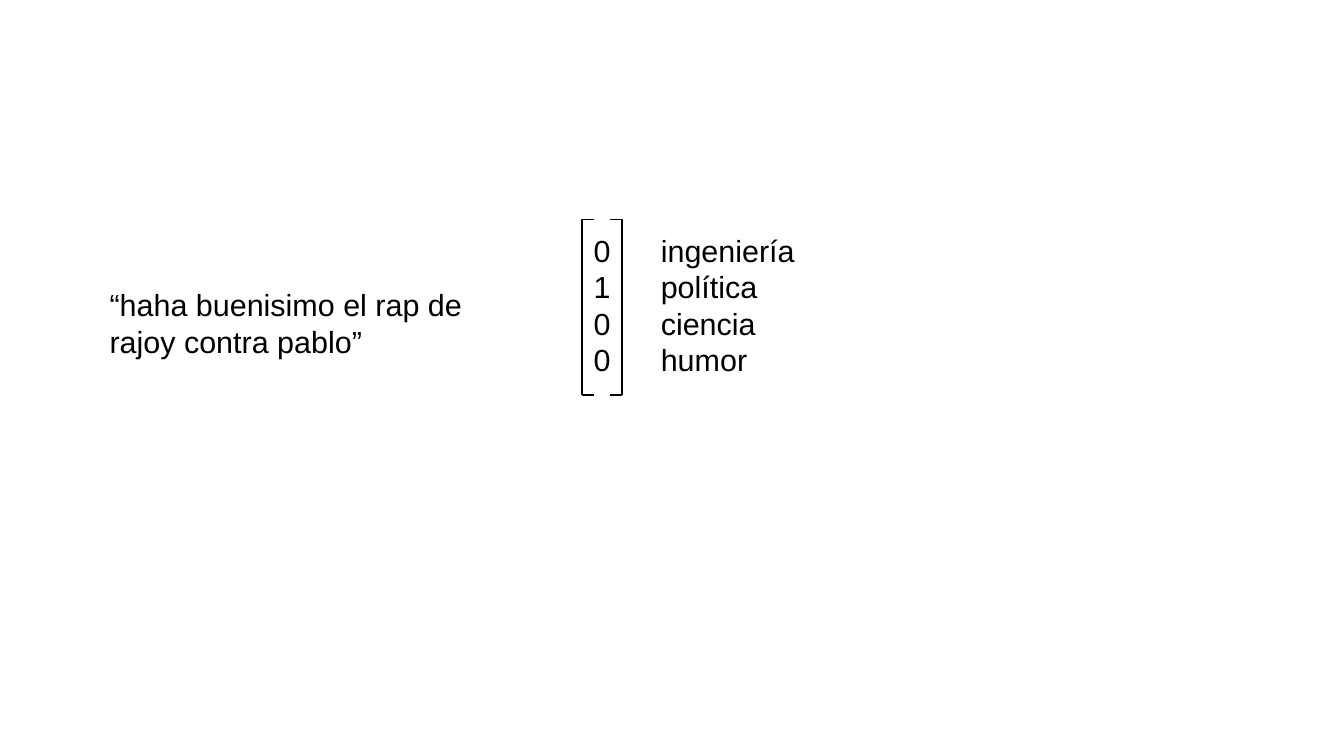
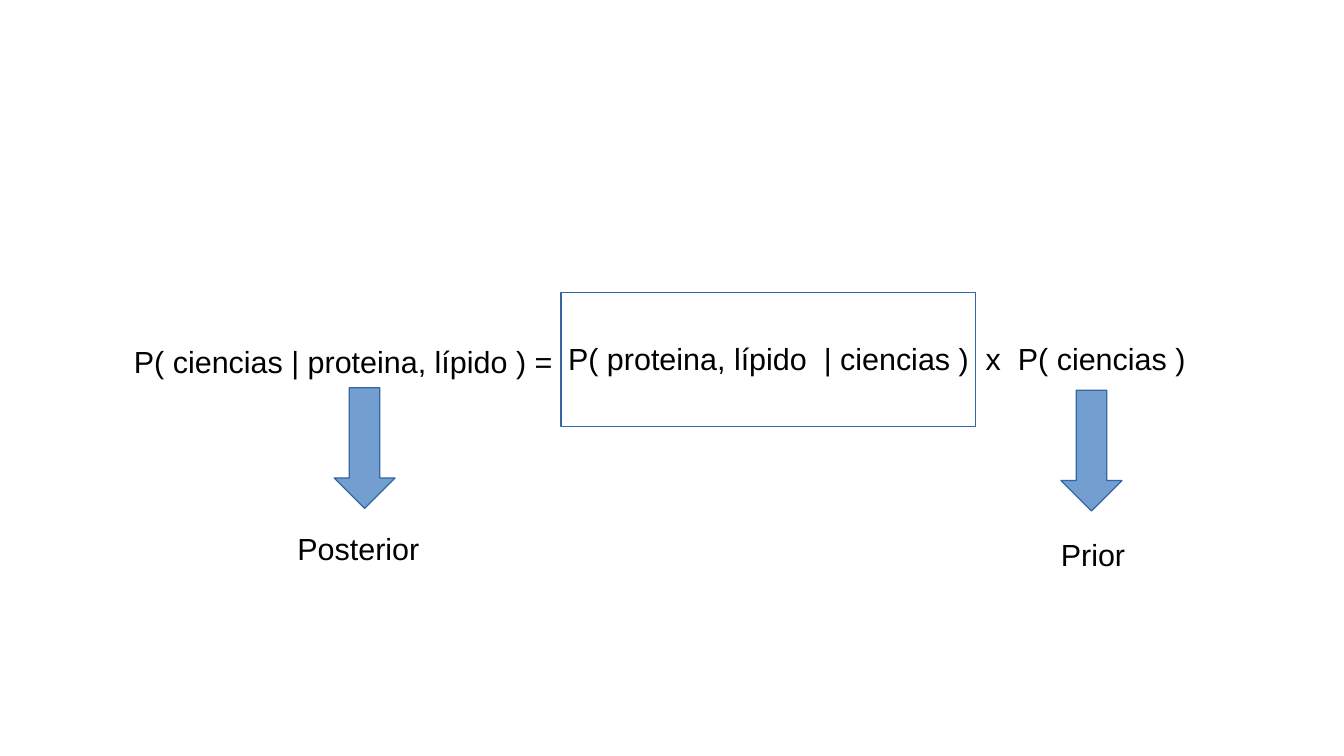
from lxml import etree
from pptx import Presentation
from pptx import util as u
from pptx.dml.color import RGBColor
from pptx.enum import shapes, text
from pptx.oxml.ns import qn

BLACK = RGBColor(0x00, 0x00, 0x00)
ARROW_FILL = RGBColor(0x72, 0x9F, 0xCF)
OUTLINE = RGBColor(0x34, 0x65, 0xA4)
FONT_FORMAT = {"name": "Arial", "size": u.Pt(18)}
FRAME_FORMAT = {
    "word_wrap": True,
    "auto_size": text.MSO_AUTO_SIZE.NONE,
    "vertical_anchor": text.MSO_ANCHOR.TOP,
    "margin_left": u.Inches(0.1),
    "margin_right": u.Inches(0.1),
    "margin_top": u.Inches(0.05),
    "margin_bottom": u.Inches(0.05),
}

deck = Presentation()
deck.slide_width = u.Inches(11.02)
deck.slide_height = u.Inches(6.2)
blank = deck.slide_layouts[6]


def add_text(page, left, top, width, height, lines):
    box = page.shapes.add_textbox(*map(u.Inches, (left, top, width, height)))
    frame = box.text_frame
    for name, value in FRAME_FORMAT.items():
        setattr(frame, name, value)
    for index, line in enumerate(lines):
        para = frame.paragraphs[0] if index == 0 else frame.add_paragraph()
        span = para.add_run()
        span.text = line
        for name, value in FONT_FORMAT.items():
            setattr(span.font, name, value)
        span.font.color.rgb = BLACK


def add_outlined(page, kind, left, top, width, height):
    """Add an unfilled preset shape with a hairline outline."""
    shape = page.shapes.add_shape(kind, *map(u.Inches, (left, top, width, height)))
    shape.shadow.inherit = False
    shape.fill.background()
    shape.line.color.rgb = OUTLINE
    shape.line.width = u.Pt(0)
    return shape


# A sentence and its topic vector
page = deck.slides.add_slide(blank)
topics = {"ingeniería": "0", "política": "1", "ciencia": "0", "humor": "0"}
bracket_left, bracket_right = 4.77, 5.1
bracket_top, bracket_bottom = 1.8, 3.24
tick = 0.1
vector_top, vector_height = 1.85, 1.52

add_text(page, 0.8, 2.3, 3.2, 0.66, ["“haha buenisimo el rap de rajoy contra pablo”"])
add_text(page, bracket_left, vector_top, 0.4, vector_height, topics.values())
for side, inward in ((bracket_left, tick), (bracket_right, -tick)):
    strokes = [(side, bracket_top, side, bracket_bottom)]
    strokes += [(side, edge, side + inward, edge) for edge in (bracket_top, bracket_bottom)]
    for stroke in strokes:
        line = page.shapes.add_connector(
            shapes.MSO_CONNECTOR.STRAIGHT, *map(u.Inches, stroke))
        line.line.color.rgb = BLACK
        line.line.width = u.Pt(1)
        etree.SubElement(line._element.spPr, qn("a:effectLst"))
add_text(page, 5.32, vector_top, 1.44, vector_height, topics)

# Bayes' rule, with its terms labelled
page = deck.slides.add_slide(blank)
label_height = 0.38
add_text(page, 1, 2.76, 4.2, label_height, ["P( ciencias | proteina, lípido ) ="])
add_text(page, 4.56, 2.74, 6.1, label_height,
         ["P( proteina, lípido  | ciencias )  x  P( ciencias )"])
for label, arrow_left, arrow_top, label_left, label_top, label_width in (
    ("Prior", 8.7, 3.2, 8.6, 4.35, 0.9),
    ("Posterior", 2.74, 3.18, 2.34, 4.3, 2.1),
):
    arrow = add_outlined(page, shapes.MSO_SHAPE.DOWN_ARROW, arrow_left, arrow_top, 0.5, 0.99)
    arrow.fill.solid()
    arrow.fill.fore_color.rgb = ARROW_FILL
    add_text(page, label_left, label_top, label_width, label_height, [label])
add_outlined(page, shapes.MSO_SHAPE.RECTANGLE, 4.6, 2.4, 3.4, 1.1)

deck.save("out.pptx")
